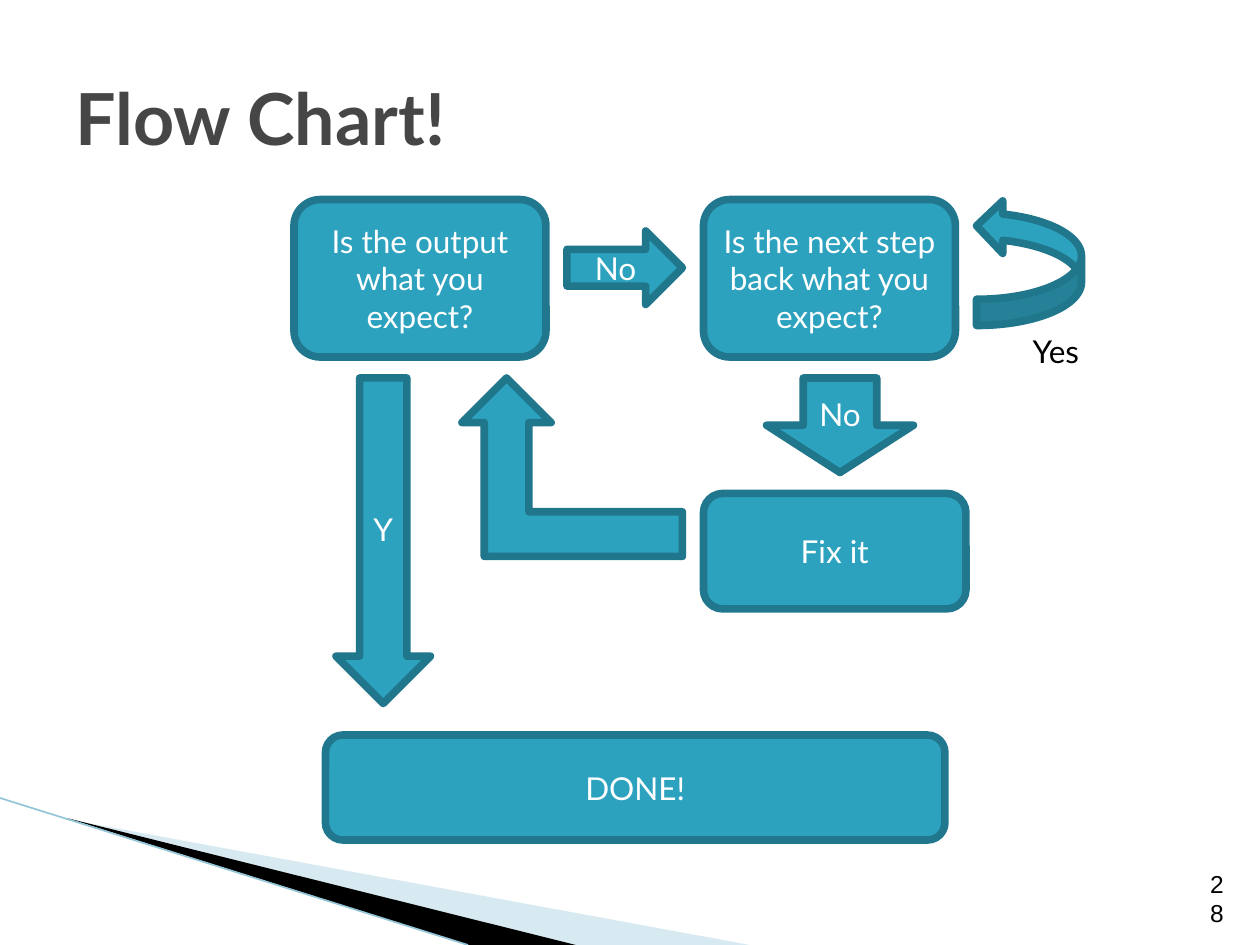
from lxml import etree
from pptx import Presentation
from pptx.dml.color import RGBColor
from pptx.enum import shapes, text
from pptx.oxml.ns import qn
from pptx.util import Pt

COLORS = {"box": "2DA2BF", "box_line": "21778D", "arrow_line": "20768B",
          "white": "FFFFFF", "black": "000000", "title": "464646",
          "pale": "9CCADC", "rule": "93C5D8"}
S = shapes.MSO_SHAPE
MID, BOTTOM, TOP = (text.MSO_ANCHOR.MIDDLE, text.MSO_ANCHOR.BOTTOM,
                    text.MSO_ANCHOR.TOP)
CENTER, LEFT = text.PP_ALIGN.CENTER, text.PP_ALIGN.LEFT

# Content: lengths are points, boxes are left, top, width, height
BOXES = [
    ("Is the output what you expect?", (168, 114, 144, 90)),
    ("DONE!", (186, 420, 354, 60)),
    ("Is the next step back what you expect?", (402, 114, 144, 90)),
    ("Fix it", (402, 282, 150, 66)),
]
ARROWS = [  # preset, label, box, rotation, flipped
    (S.BENT_UP_ARROW, "", (264, 216, 126, 102), 0, True),
    (S.CURVED_UP_ARROW, "", (552, 120, 72, 60), 270, False),
    (S.RIGHT_ARROW, "No", (324, 132, 66, 42), 0, False),
    (S.DOWN_ARROW, "No", (438, 216, 84, 54), 0, False),
    (S.DOWN_ARROW, "Y", (192, 216, 54, 186), 0, False),
]
LABELS = [  # text, box, anchor, alignment, font
    ("Flow Chart!", (36, 21.6, 648, 90), MID, LEFT,
     {"name": "Lato", "size": 41, "color": "title", "bold": True}),
    ("Yes", (583, 186, 43.2, 28.8), TOP, LEFT,
     {"name": "Lato", "size": 18, "color": "black"}),
    ("28", (681, 504.7, 28.8, 28.8), BOTTOM, CENTER,
     {"name": "Arial", "size": 14, "color": "black"}),
]
WEDGES = [  # colour, opacity in percent, outline
    ("pale", 40, [(39.6, 468.4), (428.4, 540), (328.3, 540)]),
    ("black", 100, [(38.2, 467.5), (329, 540), (267.8, 540)]),
]
RULE = (0, 456, 267.5, 540)
SHAPE_FONT = {"name": "Lato", "size": 18, "color": "white"}


def rgb(name):
    return RGBColor.from_string(COLORS[name])


def pts(values):
    return [Pt(v) for v in values]


def write(sp, label, anchor, align, font):
    tf = sp.text_frame
    frame = {"word_wrap": True, "vertical_anchor": anchor,
             "margin_left": Pt(7.2), "margin_right": Pt(7.2),
             "margin_top": Pt(3.6), "margin_bottom": Pt(3.6)}
    for key, value in frame.items():
        setattr(tf, key, value)
    p = tf.paragraphs[0]
    p.alignment = align
    r = p.add_run()
    r.text = label
    for key, value in font.items():
        if key == "color":
            r.font.color.rgb = rgb(value)
        else:
            setattr(r.font, key, Pt(value) if key == "size" else value)


def paint(sp, fill, line=None, width=4.33):
    sp.shadow.inherit = False
    sp.fill.solid()
    sp.fill.fore_color.rgb = rgb(fill)
    if line:
        sp.line.color.rgb = rgb(line)
        sp.line.width = Pt(width)
    else:
        sp.line.fill.background()


def add_shape(s, preset, label, box, line):
    sp = s.shapes.add_shape(preset, *pts(box))
    paint(sp, "box", line)
    if label:
        write(sp, label, MID, CENTER, SHAPE_FONT)
    return sp


def main():
    prs = Presentation()
    prs.slide_width, prs.slide_height = Pt(720), Pt(540)
    s = prs.slides.add_slide(prs.slide_layouts[6])

    # Corner wedges and rule
    for color, opacity, outline in WEDGES:
        corners = [pts(xy) for xy in outline]
        fb = s.shapes.build_freeform(*corners[0])
        fb.add_line_segments(corners[1:], close=True)
        sp = fb.convert_to_shape()
        paint(sp, color)
        if opacity < 100:
            clr = sp.fill._xPr.find(".//" + qn("a:srgbClr"))
            etree.SubElement(clr, qn("a:alpha")).set("val", str(opacity * 1000))
    rule = s.shapes.add_connector(shapes.MSO_CONNECTOR.STRAIGHT, *pts(RULE))
    rule.line.color.rgb = rgb("rule")
    rule.line.width = Pt(0.95)
    etree.SubElement(rule._element.spPr, qn("a:effectLst"))

    # Flow chart boxes and block arrows
    for label, box in BOXES:
        add_shape(s, S.ROUNDED_RECTANGLE, label, box, "box_line")
    for preset, label, box, rotation, flipped in ARROWS:
        sp = add_shape(s, preset, label, box, "arrow_line")
        sp.rotation = rotation
        if flipped:
            sp._element.spPr.find(qn("a:xfrm")).set("flipH", "1")

    # Title, loop label and slide number
    for label, box, anchor, align, font in LABELS:
        write(s.shapes.add_textbox(*pts(box)), label, anchor, align, font)

    prs.save("out.pptx")


if __name__ == "__main__":
    main()
